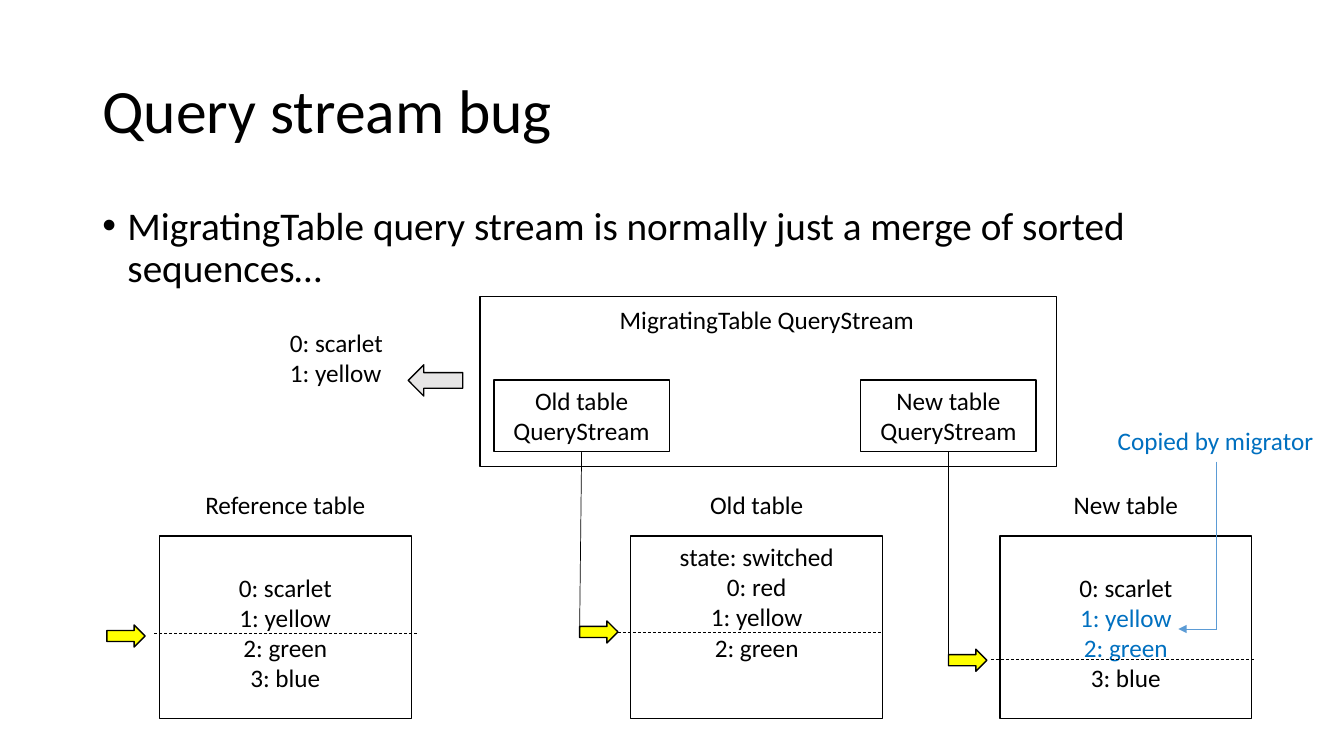
import pptx
import pptx.dml.color
import pptx.enum.dml
import pptx.enum.shapes
import pptx.enum.text
import pptx.oxml.ns
import pptx.util
from lxml import etree

Pt = pptx.util.Pt
RGBColor = pptx.dml.color.RGBColor
Shape = pptx.enum.shapes.MSO_SHAPE
Align = pptx.enum.text.PP_ALIGN
Anchor = pptx.enum.text.MSO_ANCHOR
qn = pptx.oxml.ns.qn

BLACK = RGBColor(0x00, 0x00, 0x00)
BLUE = RGBColor(0x00, 0x70, 0xC0)
LIGHT_BLUE = RGBColor(0x5B, 0x9B, 0xD5)
YELLOW = RGBColor(0xFF, 0xFF, 0x00)
GREY = RGBColor(0xE7, 0xE6, 0xE6)

TABLE_TOP, TABLE_WIDTH, TABLE_HEIGHT = 383, 180, 130.3
CAPTION_TOP = 346.2
ROW_PITCH = 22
POINTER_WIDTH, POINTER_HEIGHT = 27.4, 15.8
CURSOR_LENGTH = 189
STREAM_TOP, STREAM_WIDTH, STREAM_HEIGHT = 271.4, 125.3, 51

# caption, left, state, rows, pointer left, pointer middle, cursor left, cursor middle
TABLES = [
    ("Reference table", 113.8, None,
     ["0: scarlet", "1: yellow", "2: green", "3: blue"], 76.3, 454.3, 110.2, 452.5),
    ("Old table", 450.5, "state: switched",
     ["0: red", "1: yellow", "2: green"], 414, 451.4, 441.4, 451.4),
    ("New table", 714.2, None,
     ["0: scarlet", ("1: yellow", BLUE), ("2: green", BLUE), "3: blue"],
     677.5, 471.6, 707.8, 471.2),
]
# label, left, left of the pointer that the stream reads from, middle of that pointer
STREAMS = [
    ("Old table QueryStream", 352.8, 414, 451.4),
    ("New table QueryStream", 614.9, 677.5, 471.6),
]


def write(frame, lines, size=18, color=BLACK, align=Align.LEFT, anchor=Anchor.TOP,
          wrap=True, spacing=None, before=None):
    """Fill a text frame; a line is a string or a (string, color) pair."""
    frame.word_wrap = wrap
    frame.vertical_anchor = anchor
    for index, line in enumerate(lines):
        text, line_color = line if isinstance(line, tuple) else (line, color)
        para = frame.paragraphs[0] if index == 0 else frame.add_paragraph()
        para.alignment = align
        if spacing is not None:
            para.line_spacing = spacing
        if before is not None:
            para.space_before = Pt(before)
        span = para.add_run()
        span.text = text
        span.font.name = "Calibri"
        span.font.size = Pt(size)
        span.font.color.rgb = line_color


def add_bullet(para, indent):
    properties = para._p.get_or_add_pPr()
    properties.set("marL", str(Pt(indent)))
    properties.set("indent", str(-Pt(indent)))
    etree.SubElement(properties, qn("a:buFont")).set("typeface", "Arial")
    etree.SubElement(properties, qn("a:buChar")).set("char", "•")


class Sketch:
    """Draws black-outlined elements on one slide."""

    def __init__(self, slide):
        self.slide = slide
        self.outline = 1
        self.hairline = 0.5

    def title(self, text, left, top, width, height):
        box = self.slide.shapes.title
        box.left, box.top, box.width, box.height = map(Pt, (left, top, width, height))
        write(box.text_frame, [text], size=44, anchor=Anchor.MIDDLE, spacing=0.9)

    def text(self, lines, left, top, width, height, **style):
        box = self.slide.shapes.add_textbox(*map(Pt, (left, top, width, height)))
        write(box.text_frame, lines, **style)
        return box

    def shape(self, kind, left, top, width, height, fill=None, label=None):
        shape = self.slide.shapes.add_shape(kind, *map(Pt, (left, top, width, height)))
        shape.shadow.inherit = False
        if fill is None:
            shape.fill.background()
        else:
            shape.fill.solid()
            shape.fill.fore_color.rgb = fill
        shape.line.color.rgb = BLACK
        shape.line.width = Pt(self.outline)
        if label:
            write(shape.text_frame, [label], align=Align.CENTER, anchor=Anchor.MIDDLE)

    def line(self, start, end, color=BLACK, dashed=False, arrow=False):
        line = self.slide.shapes.add_connector(
            pptx.enum.shapes.MSO_CONNECTOR.STRAIGHT, *map(Pt, (*start, *end)))
        line.line.color.rgb = color
        line.line.width = Pt(self.hairline)
        if dashed:
            line.line.dash_style = pptx.enum.dml.MSO_LINE.DASH
        if arrow:
            etree.SubElement(line.line._get_or_add_ln(), qn("a:tailEnd")).set("type", "triangle")
        etree.SubElement(line._element.spPr, qn("a:effectLst"))

    def table(self, caption, left, state, rows):
        """Draw a captioned box whose first line is kept for the state."""
        self.shape(Shape.RECTANGLE, left, TABLE_TOP, TABLE_WIDTH, TABLE_HEIGHT)
        self.text([caption], left, CAPTION_TOP, TABLE_WIDTH, 29, align=Align.CENTER)
        lines = [state, *rows] if state else rows
        top = TABLE_TOP if state else TABLE_TOP + ROW_PITCH
        self.text(lines, left, top, TABLE_WIDTH, ROW_PITCH * len(lines) + 7.2,
                  align=Align.CENTER)

    def pointer(self, left, middle, cursor_left, cursor_middle):
        """Draw a yellow arrow and the dashed line of its read position."""
        self.shape(Shape.RIGHT_ARROW, left, middle - POINTER_HEIGHT / 2,
                   POINTER_WIDTH, POINTER_HEIGHT, fill=YELLOW)
        self.line((cursor_left, cursor_middle),
                  (cursor_left + CURSOR_LENGTH, cursor_middle), dashed=True)


def main():
    deck = pptx.Presentation()
    deck.slide_width, deck.slide_height = Pt(960), Pt(540)
    sketch = Sketch(deck.slides.add_slide(deck.slide_layouts.get_by_name("Title Only")))

    sketch.title("Query stream bug", 66, 28.8, 828, 104.4)
    body = sketch.text(
        ["MigratingTable query stream is normally just a merge of sorted sequences…"],
        66, 144, 828, 68, size=28, spacing=0.9, before=10)
    add_bullet(body.text_frame.paragraphs[0], 18)

    for caption, left, state, rows, *pointer in TABLES:
        sketch.table(caption, left, state, rows)
        sketch.pointer(*pointer)

    sketch.shape(Shape.RECTANGLE, 342.9, 211.7, 411.6, 121.7)
    sketch.text(["MigratingTable QueryStream"], 435.6, 214, 227, 29, wrap=False)
    for label, left, pointer_left, pointer_middle in STREAMS:
        sketch.shape(Shape.RECTANGLE, left, STREAM_TOP, STREAM_WIDTH, STREAM_HEIGHT,
                     label=label)
        sketch.line((pointer_left, pointer_middle),
                    (left + STREAM_WIDTH / 2, STREAM_TOP + STREAM_HEIGHT))

    sketch.text(["0: scarlet", "1: yellow"], 200, 230.4, 81.4, 51, wrap=False)
    sketch.shape(Shape.LEFT_ARROW, 291.6, 260.6, 39, 22.3, fill=GREY)

    sketch.text(["Copied by migrator"], 791.3, 300.3, 155.5, 29, color=BLUE, wrap=False)
    corner = (869, 449.3)
    sketch.line((869, 329.8), corner, color=LIGHT_BLUE)
    sketch.line(corner, (841.7, 449.3), color=LIGHT_BLUE, arrow=True)

    deck.save("out.pptx")


if __name__ == "__main__":
    main()
